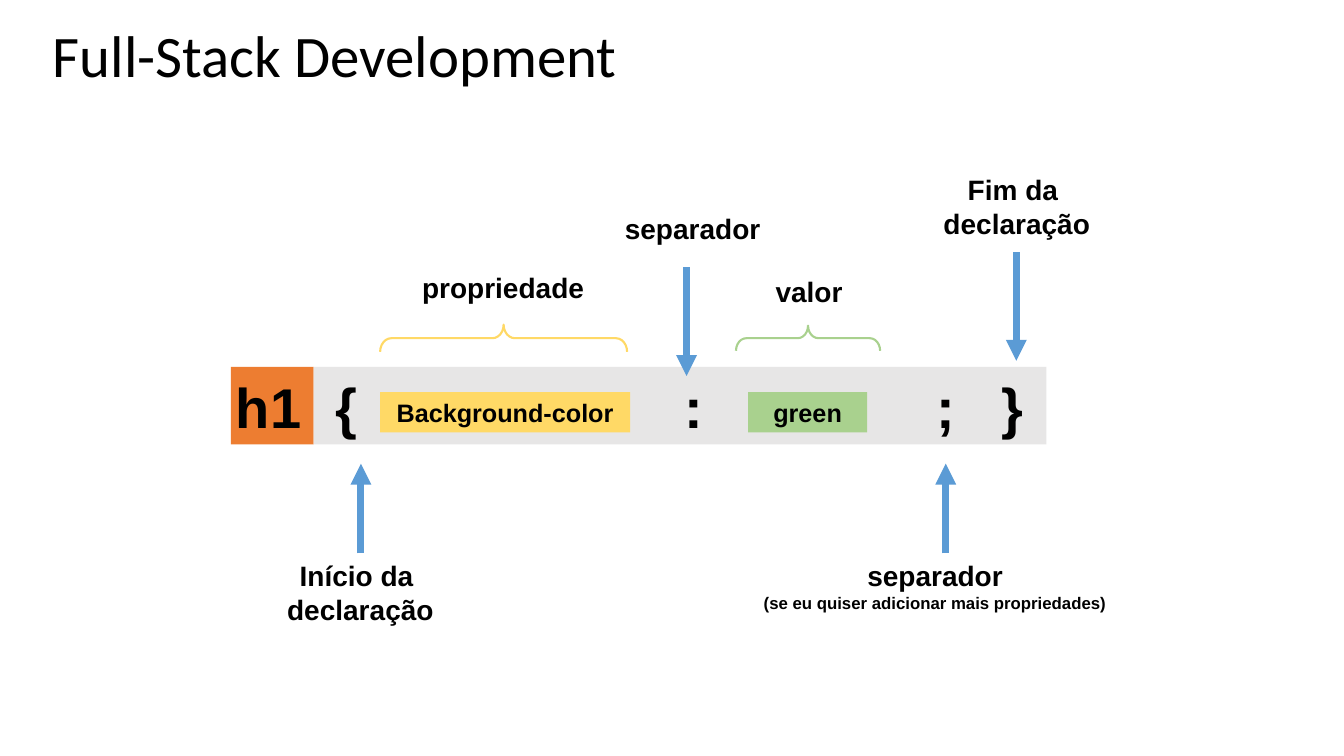
from pptx import Presentation
from pptx.dml.color import RGBColor
from pptx.enum.shapes import MSO_CONNECTOR, MSO_SHAPE
from pptx.enum.text import MSO_ANCHOR, MSO_AUTO_SIZE, PP_ALIGN
from pptx.oxml.ns import qn
from pptx.util import Inches, Pt
from lxml import etree

BLACK = RGBColor(0x00, 0x00, 0x00)
ORANGE = RGBColor(0xED, 0x7D, 0x31)
GRAY = RGBColor(0xE7, 0xE6, 0xE6)
YELLOW = RGBColor(0xFF, 0xD9, 0x66)
GREEN = RGBColor(0xA9, 0xD1, 0x8E)
BLUE = RGBColor(0x5B, 0x9B, 0xD5)

deck = Presentation()
deck.slide_width, deck.slide_height = Inches(13.33), Inches(7.5)
page = deck.slides.add_slide(deck.slide_layouts[6])


def write(box, lines, align=PP_ALIGN.CENTER, wrap=True):
    """Fill a box with bold Arial lines, each given as (text, size)."""
    frame = box.text_frame
    frame.margin_left = frame.margin_right = Inches(0.05)
    frame.margin_top = frame.margin_bottom = Inches(0.05)
    frame.word_wrap = wrap
    frame.auto_size = MSO_AUTO_SIZE.SHAPE_TO_FIT_TEXT
    frame.vertical_anchor = MSO_ANCHOR.MIDDLE
    for index, (text, size) in enumerate(lines):
        para = frame.add_paragraph() if index else frame.paragraphs[0]
        para.alignment = align
        span = para.add_run()
        span.text = text
        span.font.name, span.font.size, span.font.bold = "Arial", Pt(size), True
        span.font.color.rgb = BLACK


def add_block(left, top, width, height, color):
    block = page.shapes.add_shape(
        MSO_SHAPE.RECTANGLE, Inches(left), Inches(top), Inches(width), Inches(height))
    block.shadow.inherit = False
    block.fill.solid()
    block.fill.fore_color.rgb = color
    block.line.fill.background()
    return block


# Title
title = page.shapes.add_textbox(Inches(0.33), Inches(0.2), Inches(5.98), Inches(0.72))
title.text_frame.word_wrap = True
title.text_frame.vertical_anchor = MSO_ANCHOR.BOTTOM
para = title.text_frame.paragraphs[0]
para.alignment = PP_ALIGN.CENTER
para.line_spacing = 0.7
span = para.add_run()
span.text = "Full-Stack Development"
span.font.name, span.font.size = "Calibri", Pt(42)
span.font.color.rgb = BLACK

# Selector and declaration bar
selector = add_block(2.29, 3.64, 0.82, 0.77, ORANGE)
write(selector, [("h1", 40)], PP_ALIGN.LEFT)
add_block(3.11, 3.64, 7.27, 0.77, GRAY)

# Punctuation along the bar
for mark, left in (("{", 3.28), (":", 6.74), (";", 9.24), ("}", 9.88)):
    box = page.shapes.add_textbox(
        Inches(left), Inches(3.64), Inches(0.35), Inches(0.77))
    write(box, [(mark, 40)], PP_ALIGN.LEFT)

# Property and value
for text, left, width, color in (
        ("Background-color", 3.77, 2.48, YELLOW), ("green", 7.42, 1.18, GREEN)):
    write(add_block(left, 3.89, width, 0.4, color), [(text, 18)])

# Braces, turned to point upwards
for left, top, width, height, color in (
        (4.86, 2.13, 0.27, 2.45, YELLOW), (7.89, 2.64, 0.25, 1.43, GREEN)):
    brace = page.shapes.add_shape(
        MSO_SHAPE.RIGHT_BRACE, Inches(left), Inches(top), Inches(width), Inches(height))
    brace.rotation = 270
    brace.adjustments[0] = 0.41
    brace.shadow.inherit = False
    brace.fill.background()
    brace.line.color.rgb = color
    brace.line.width = Pt(1.5)

# Labels
for left, top, width, height, lines in (
        (2.79, 5.49, 1.57, 0.77, [("Início da ", 20), ("declaração", 20)]),
        (7.51, 5.49, 3.53, 0.64,
         [("separador", 20), ("(se eu quiser adicionar mais propriedades)", 12)]),
        (6.14, 2.04, 1.46, 0.44, [("separador", 20)]),
        (4.13, 2.63, 1.72, 0.44, [("propriedade", 20)]),
        (7.64, 2.67, 0.77, 0.44, [("valor", 20)]),
        (9.3, 1.66, 1.57, 0.77, [("Fim da ", 20), ("declaração", 20)])):
    label = page.shapes.add_textbox(
        Inches(left), Inches(top), Inches(width), Inches(height))
    write(label, lines, wrap=False)

# Arrows from the labels to the bar
for x, start, end in (
        (3.58, 5.49, 4.6), (9.38, 5.49, 4.6), (6.81, 2.65, 3.73), (10.08, 2.5, 3.58)):
    arrow = page.shapes.add_connector(
        MSO_CONNECTOR.STRAIGHT, Inches(x), Inches(start), Inches(x), Inches(end))
    arrow.line.color.rgb = BLUE
    arrow.line.width = Pt(5)
    line_xml = arrow._element.spPr.find(qn("a:ln"))
    etree.SubElement(line_xml, qn("a:tailEnd"), type="triangle")
    etree.SubElement(arrow._element.spPr, qn("a:effectLst"))

deck.save("out.pptx")
